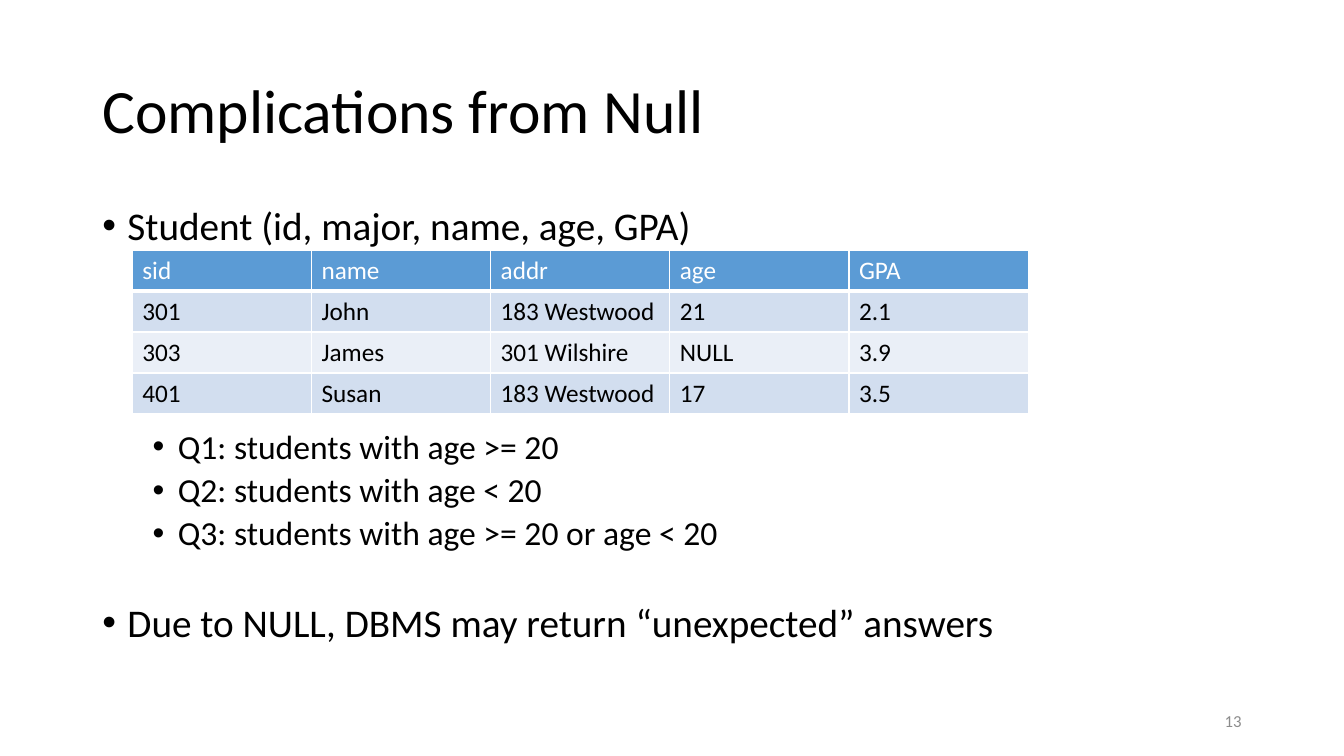
from lxml import etree
from pptx import Presentation
from pptx.dml.color import RGBColor
from pptx.enum.text import MSO_ANCHOR, PP_ALIGN
from pptx.oxml.ns import qn
from pptx.util import Pt

MIDDLE = MSO_ANCHOR.MIDDLE
RIGHT = PP_ALIGN.RIGHT
FONT = "Calibri"
BLACK, WHITE, GREY = "000000", "FFFFFF", "8C8C8C"
HEADER_FILL, ROW_FILLS = "5B9BD5", ("D2DEEF", "EAEFF7")

STUDENTS = [
    ("sid", "name", "addr", "age", "GPA"),
    ("301", "John", "183 Westwood", "21", "2.1"),
    ("303", "James", "301 Wilshire", "NULL", "3.9"),
    ("401", "Susan", "183 Westwood", "17", "3.5"),
]
# text, size, indent, space before; the first query leaves room for the table
POINTS = [
    ("Student (id, major, name, age, GPA)", 28, 18, 10),
    ("Q1: students with age >= 20", 24, 54, 129.5),
    ("Q2: students with age < 20", 24, 54, 5),
    ("Q3: students with age >= 20 or age < 20", 24, 54, 5),
    ("Due to NULL, DBMS may return “unexpected” answers", 28, 18, 36),
]


def color(hex_string):
    """Turn a hex string into a colour."""
    return RGBColor.from_string(hex_string)


def write(paragraph, text, size, ink=BLACK):
    """Set a paragraph's text and format its runs."""
    paragraph.text = text
    for run in paragraph.runs:
        run.font.name = FONT
        run.font.size = Pt(size)
        run.font.color.rgb = color(ink)


def add_frame(slide, box):
    """Add a wrapping text box and return its text frame."""
    frame = slide.shapes.add_textbox(*map(Pt, box)).text_frame
    frame.word_wrap = True
    return frame


def add_bullet(paragraph, indent):
    """Give a paragraph a round bullet with a hanging indent."""
    properties = paragraph._p.get_or_add_pPr()
    properties.set("marL", str(Pt(indent)))
    properties.set("indent", str(Pt(-18)))
    etree.SubElement(properties, qn("a:buFont")).set("typeface", "Arial")
    etree.SubElement(properties, qn("a:buChar")).set("char", "•")


def add_border(cell, side, width):
    """Draw a white border on one side of a cell."""
    properties = cell._tc.get_or_add_tcPr()
    line = etree.SubElement(properties, qn(f"a:ln{side}"), w=str(Pt(width)))
    fill = etree.SubElement(line, qn("a:solidFill"))
    etree.SubElement(fill, qn("a:srgbClr"), val=WHITE)


def add_title(slide, box):
    """Place the heading."""
    frame = add_frame(slide, box)
    frame.vertical_anchor = MIDDLE
    heading = frame.paragraphs[0]
    write(heading, "Complications from Null", 44)
    heading.line_spacing = 0.9


def add_points(slide, box):
    """Place the bulleted points and queries."""
    frame = add_frame(slide, box)
    for number, (text, size, indent, gap) in enumerate(POINTS):
        point = frame.add_paragraph() if number else frame.paragraphs[0]
        write(point, text, size)
        point.line_spacing = 0.9
        point.space_before = Pt(gap)
        add_bullet(point, indent)


def add_students(slide, box):
    """Place the student table with equal columns and rows."""
    left, top, width, height = box
    row_count, column_count = len(STUDENTS), len(STUDENTS[0])
    table = slide.shapes.add_table(
        row_count, column_count, Pt(left), Pt(top), Pt(width), Pt(height)
    ).table
    for column in table.columns:
        column.width = Pt(width / column_count)
    for r, record in enumerate(STUDENTS):
        table.rows[r].height = Pt(height / row_count)
        for c, value in enumerate(record):
            cell = table.cell(r, c)
            write(cell.text_frame.paragraphs[0], value, 18, BLACK if r else WHITE)
            for side in "LRTB":
                thick = (r, side) in ((0, "B"), (1, "T"))
                add_border(cell, side, 3 if thick else 1)
            cell.fill.solid()
            fill = ROW_FILLS[(r - 1) % 2] if r else HEADER_FILL
            cell.fill.fore_color.rgb = color(fill)


def add_page_number(slide, box):
    """Place the page number at the lower right."""
    frame = add_frame(slide, box)
    frame.vertical_anchor = MIDDLE
    number = frame.paragraphs[0]
    write(number, "13", 12, GREY)
    number.alignment = RIGHT


def build():
    """Build and save the slide."""
    deck = Presentation()
    deck.slide_width, deck.slide_height = Pt(960), Pt(540)
    slide = deck.slides.add_slide(deck.slide_layouts[6])
    add_title(slide, (66, 28.8, 828, 104.4))
    add_points(slide, (66, 144, 828, 367))
    add_students(slide, (94.5, 178.8, 640, 116.8))
    add_page_number(slide, (678, 500.5, 216, 28.8))
    deck.save("out.pptx")


build()
